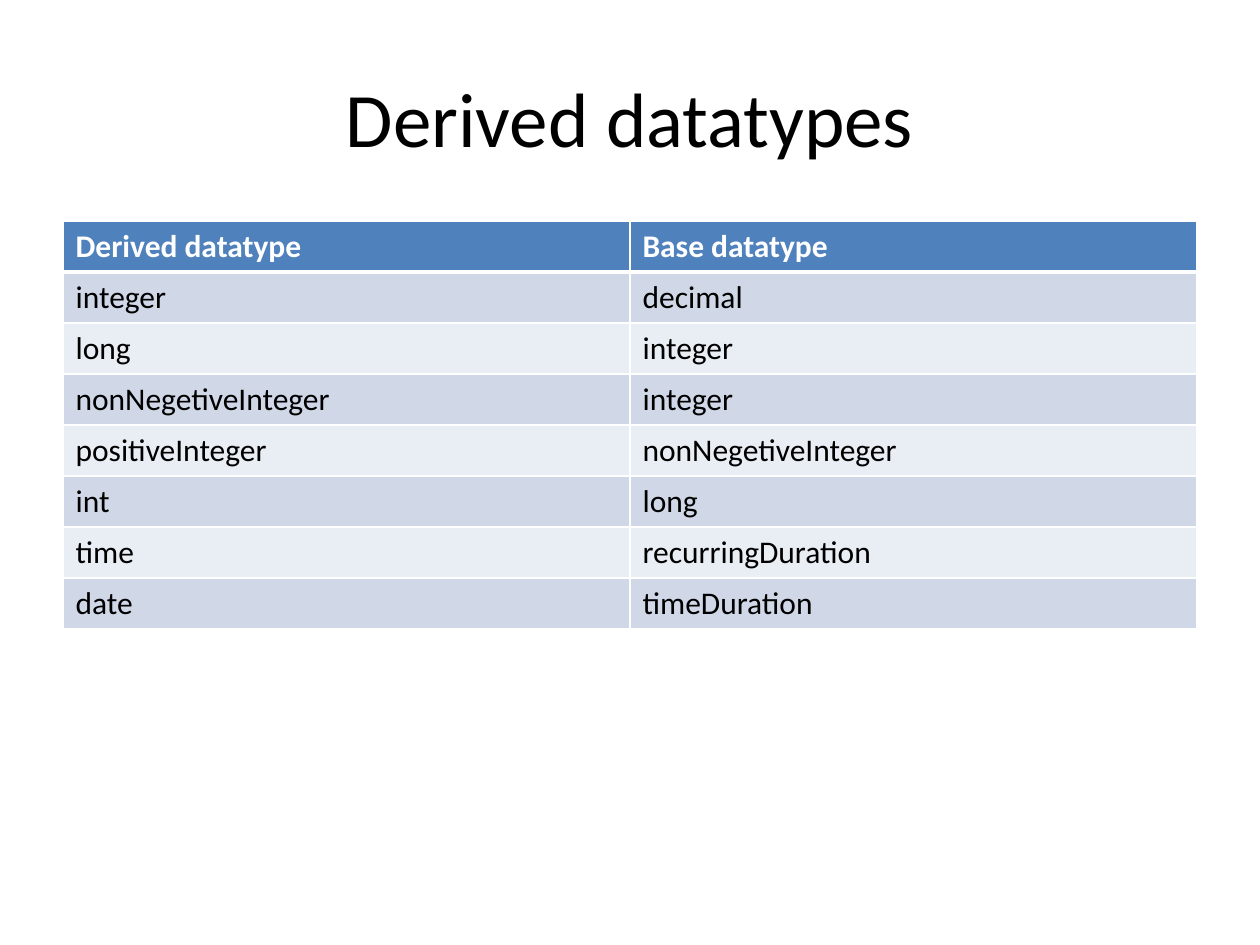
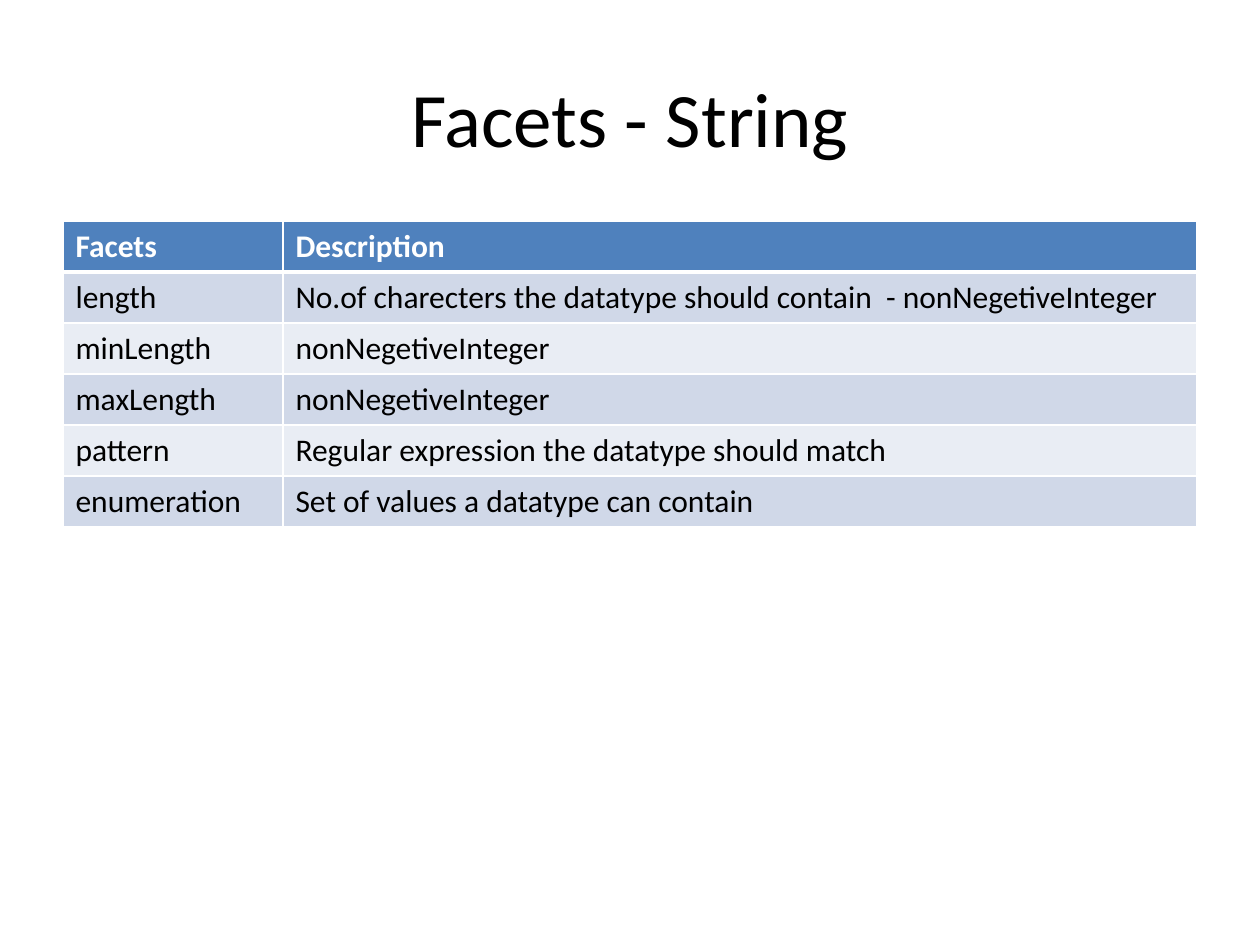
from lxml import etree
from pptx import Presentation
from pptx import util as u
from pptx.dml.color import RGBColor
from pptx.enum import text
from pptx.oxml import ns

PX_PER_INCH = 126
PAGE_SIZE = (1260, 945)
TITLE_BOX = (63, 38, 1134, 157)
TABLE_LEFT, TABLE_TOP, ROW_HEIGHT = 63, 221, 51
FONT = "Calibri"
BLACK, WHITE, HEADER_BLUE = "000000", "FFFFFF", "4F81BD"
BANDS = ("E9EDF4", "D0D8E8")
THIN, THICK = 1, 3

DERIVED_ROWS = [
    ("Derived datatype", "Base datatype"),
    ("integer", "decimal"),
    ("long", "integer"),
    ("nonNegetiveInteger", "integer"),
    ("positiveInteger", "nonNegetiveInteger"),
    ("int", "long"),
    ("time", "recurringDuration"),
    ("date", "timeDuration"),
]
FACET_ROWS = [
    ("Facets", "Description"),
    ("length", "No.of charecters the datatype should contain  - nonNegetiveInteger"),
    ("minLength", "nonNegetiveInteger"),
    ("maxLength", "nonNegetiveInteger"),
    ("pattern", "Regular expression the datatype should match"),
    ("enumeration", "Set of values a datatype can contain"),
]
PAGES = [
    ("Derived datatypes", (567, 567), DERIVED_ROWS),
    ("Facets - String", (220, 914), FACET_ROWS),
]


def px(length):
    """Turn pixels into EMU."""
    return u.Emu(round(length * 914400 / PX_PER_INCH))


def color(value):
    """Turn a hex string into a colour."""
    return RGBColor.from_string(value)


def add_span(para, words, size, ink, bold=False):
    """Add one styled run to a paragraph."""
    span = para.add_run()
    span.text = words
    span.font.name = FONT
    span.font.size = u.Pt(size)
    span.font.bold = bold
    span.font.color.rgb = color(ink)


def add_title(page, words, box):
    """Centre the title in its box."""
    frame = page.shapes.add_textbox(*map(px, box)).text_frame
    frame.word_wrap = True
    frame.vertical_anchor = text.MSO_ANCHOR.MIDDLE
    para = frame.paragraphs[0]
    para.alignment = text.PP_ALIGN.CENTER
    add_span(para, words, 44, BLACK)


def add_borders(cell, top, bottom):
    """Draw white cell borders, with the top and bottom widths in points."""
    properties = cell._tc.get_or_add_tcPr()
    for side, width in (("L", THIN), ("R", THIN), ("T", top), ("B", bottom)):
        line = etree.SubElement(properties, ns.qn(f"a:ln{side}"), w=str(u.Pt(width)))
        fill = etree.SubElement(line, ns.qn("a:solidFill"))
        etree.SubElement(fill, ns.qn("a:srgbClr"), val=WHITE)


def style_cell(cell, words, row_index):
    """Fill one cell by its row: header or alternating band."""
    header = row_index == 0
    add_borders(cell, THICK if row_index == 1 else THIN, THICK if header else THIN)
    cell.fill.solid()
    cell.fill.fore_color.rgb = color(HEADER_BLUE if header else BANDS[row_index % 2])
    add_span(cell.text_frame.paragraphs[0], words, 18, WHITE if header else BLACK, header)


def add_datatype_table(page, rows, widths, left, top):
    """Add a two-column table with a header row and banded body."""
    box = (left, top, sum(widths), ROW_HEIGHT * len(rows))
    table = page.shapes.add_table(len(rows), len(widths), *map(px, box)).table
    for column, width in zip(table.columns, widths):
        column.width = px(width)
    for row_index, row in enumerate(rows):
        table.rows[row_index].height = px(ROW_HEIGHT)
        for column_index, words in enumerate(row):
            style_cell(table.cell(row_index, column_index), words, row_index)


def main():
    """Build the deck of table pages."""
    deck = Presentation()
    deck.slide_width, deck.slide_height = map(px, PAGE_SIZE)
    for title, widths, rows in PAGES:
        page = deck.slides.add_slide(deck.slide_layouts[6])
        add_title(page, title, TITLE_BOX)
        add_datatype_table(page, rows, widths, TABLE_LEFT, TABLE_TOP)
    deck.save("out.pptx")


if __name__ == "__main__":
    main()
